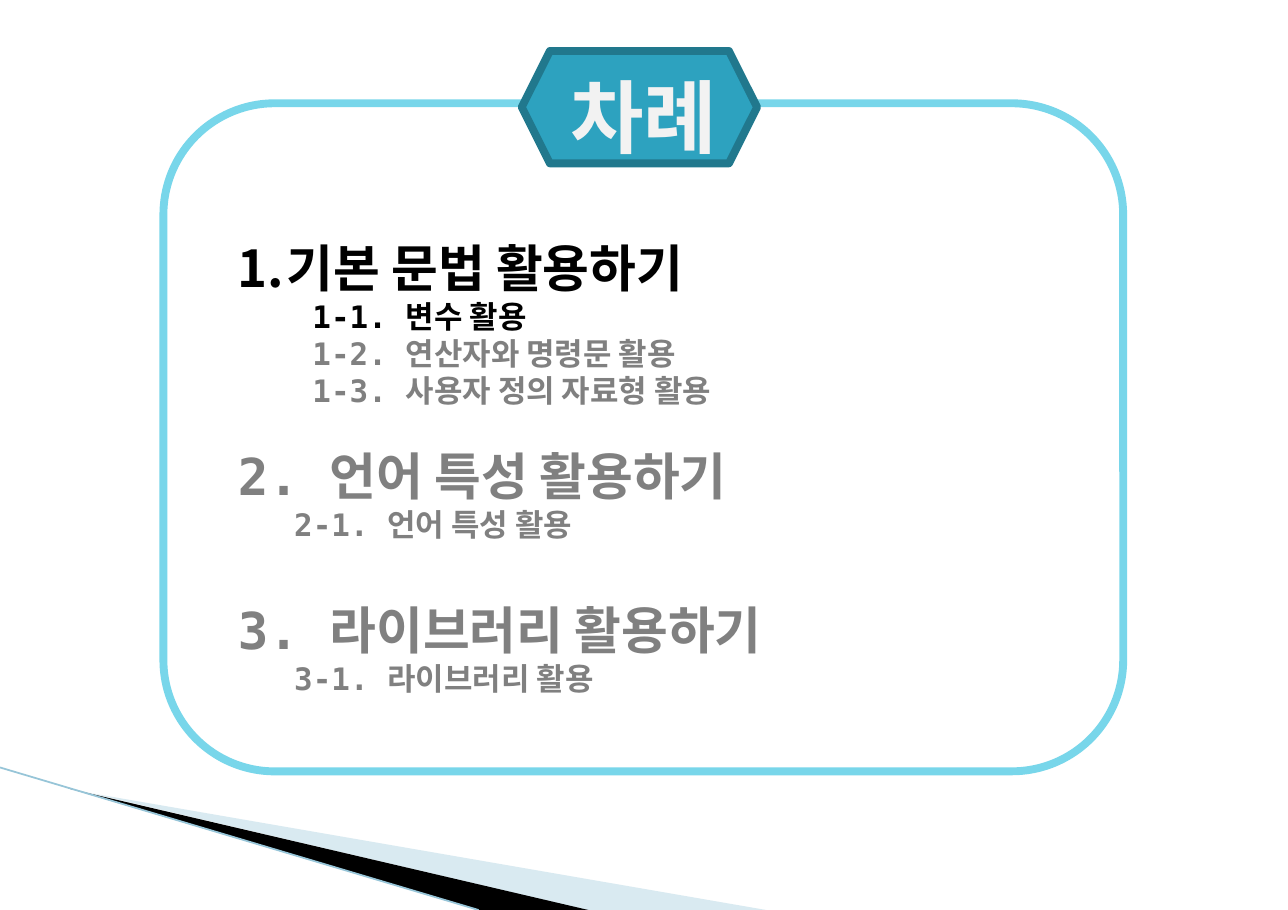
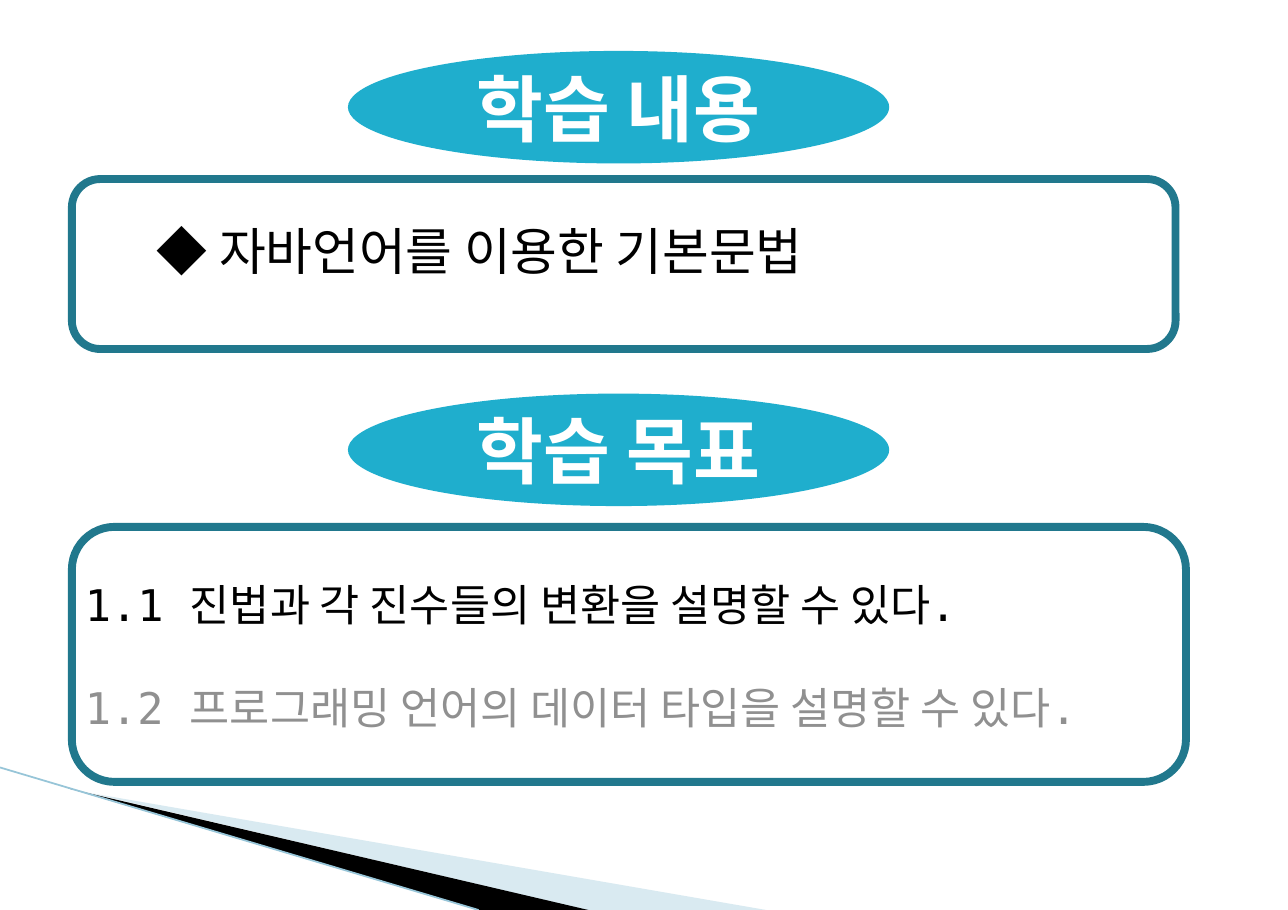
from dataclasses import dataclass
from typing import NamedTuple

from lxml import etree
from pptx import Presentation
from pptx.dml.color import RGBColor
from pptx.enum.shapes import MSO_CONNECTOR, MSO_SHAPE
from pptx.enum.text import MSO_ANCHOR, MSO_AUTO_SIZE, PP_ALIGN
from pptx.oxml.ns import qn
from pptx.util import Emu, Inches, Pt

ROUNDED, HEXAGON, OVAL = MSO_SHAPE.ROUNDED_RECTANGLE, MSO_SHAPE.HEXAGON, MSO_SHAPE.OVAL
STRAIGHT = MSO_CONNECTOR.STRAIGHT
TOP, MIDDLE = MSO_ANCHOR.TOP, MSO_ANCHOR.MIDDLE
LEFT, CENTER = PP_ALIGN.LEFT, PP_ALIGN.CENTER
FIXED, GROW = MSO_AUTO_SIZE.NONE, MSO_AUTO_SIZE.SHAPE_TO_FIT_TEXT

WIDTH, HEIGHT = Inches(9.85), Inches(6.96)
FONT = "DejaVu Sans Mono"
COMPARISON_LAYOUT = 4
FRAME_LINE = 4.33
HEADING, TOPIC = 28, 17
COLORS = {
    "black": "000000",
    "white": "FFFFFF",
    "off_white": "F2F2F2",
    "gray": "808080",
    "light_gray": "909090",
    "sky": "78D6EA",
    "teal": "2DA2BF",
    "dark_teal": "21788D",
    "oval": "1FAECD",
    "wash": "A0CBDC",
    "edge": "97C5D8",
}


class Area(NamedTuple):
    """A rectangle in percent of the slide's width and height."""
    left: float
    top: float
    width: float
    height: float


@dataclass
class Line:
    """One paragraph; indent in inches, size and gap above in points."""
    text: str
    size: float
    color: str = "black"
    bold: bool = True
    indent: float = 0
    gap: float = 0
    numbered: bool = False
    align: PP_ALIGN = LEFT


@dataclass
class Block:
    """A list and the area it fills."""
    area: Area
    lines: list[Line]


@dataclass
class Panel:
    """A preset shape with an optional fill and outline."""
    kind: MSO_SHAPE
    area: Area
    fill: str | None = None
    line: str | None = None


def across(share: float) -> Emu:
    """Turn a percentage of the width into a length."""
    return Emu(round(WIDTH * share / 100))


def down(share: float) -> Emu:
    """Turn a percentage of the height into a length."""
    return Emu(round(HEIGHT * share / 100))


def measure(area: Area) -> tuple[Emu, Emu, Emu, Emu]:
    """Turn an area into left, top, width and height."""
    return across(area.left), down(area.top), across(area.width), down(area.height)


def rgb(name: str) -> RGBColor:
    """Look up a colour by name."""
    return RGBColor.from_string(COLORS[name])


def apply(target, values: dict) -> None:
    """Set each named attribute of the target."""
    for name, value in values.items():
        setattr(target, name, value)


def write(box, lines: list[Line], anchor=TOP, fit=FIXED) -> None:
    """Write formatted paragraphs into a shape."""
    frame = box.text_frame
    apply(frame, {"word_wrap": True, "auto_size": fit, "vertical_anchor": anchor})
    for index, line in enumerate(lines):
        para = frame.add_paragraph() if index else frame.paragraphs[0]
        apply(para, {"alignment": line.align, "space_before": Pt(line.gap),
                     "space_after": Pt(0), "line_spacing": 1.0})
        margin = Inches(line.indent)
        properties = para._p.get_or_add_pPr()
        properties.set("marL", str(margin))
        properties.set("indent", str(-margin if line.numbered else 0))
        if line.numbered:
            etree.SubElement(properties, qn("a:buAutoNum"), type="arabicPeriod")
        else:
            etree.SubElement(properties, qn("a:buNone"))
        span = para.add_run()
        span.text = line.text
        apply(span.font, {"name": FONT, "size": Pt(line.size), "bold": line.bold})
        span.font.color.rgb = rgb(line.color)


def paint(shape, fill: str | None, line: str | None) -> None:
    """Give a shape its fill and outline, without a shadow."""
    shape.shadow.inherit = False
    if fill:
        shape.fill.solid()
        shape.fill.fore_color.rgb = rgb(fill)
    else:
        shape.fill.background()
    if line:
        shape.line.color.rgb = rgb(line)
        shape.line.width = Pt(FRAME_LINE)
    else:
        shape.line.fill.background()


def draw_panel(page, panel: Panel):
    """Add a preset shape."""
    shape = page.shapes.add_shape(panel.kind, *measure(panel.area))
    paint(shape, panel.fill, panel.line)
    return shape


def draw_wedge(page, points: list[tuple[float, float]], fill: str):
    """Add a filled polygon through points given in percent."""
    corners = [(across(x), down(y)) for x, y in points]
    builder = page.shapes.build_freeform(*corners[0], scale=1.0)
    builder.add_line_segments(corners[1:], close=True)
    wedge = builder.convert_to_shape()
    paint(wedge, fill, None)
    return wedge


def decorate_master(deck, page) -> None:
    """Build the corner sweep and hand it to the slide master."""
    wash = draw_wedge(page, [(5.48, 86.78), (59.49, 100), (45.58, 100), (5.48, 86.64)], "wash")
    color = wash.element.spPr.find(qn("a:solidFill"))[0]
    etree.SubElement(color, qn("a:alpha"), val="40000")
    sweep = draw_wedge(page, [(5.28, 86.64), (45.69, 100), (37.16, 100), (5.38, 86.64)], "black")
    edge = page.shapes.add_connector(STRAIGHT, 0, down(84.34), across(37.16), HEIGHT)
    edge.line.color.rgb = rgb("edge")
    edge.line.width = Pt(0.95)
    etree.SubElement(edge.element.spPr, qn("a:effectLst"))
    for number, part in enumerate((wash, sweep, edge), start=101):
        part.element.xpath(".//p:cNvPr")[0].set("id", str(number))
        deck.slide_master.shapes.element.append(part.element)


def fill_page(page, title: Line, title_area: Area, anchor, blocks: list[Block]) -> None:
    """Place the title and lists above the panels and drop spare placeholders."""
    heading, *bodies = list(page.placeholders)
    for box in (heading, *bodies):
        page.shapes.element.append(box.element)
    apply(heading, dict(zip(("left", "top", "width", "height"), measure(title_area))))
    write(heading, [title], anchor)
    for body, block in zip(bodies, blocks):
        apply(body, dict(zip(("left", "top", "width", "height"), measure(block.area))))
        write(body, block.lines, fit=GROW)
    for spare in bodies[len(blocks):]:
        page.shapes.element.remove(spare.element)


def build_contents(page) -> None:
    """Build the table of contents."""
    draw_panel(page, Panel(ROUNDED, Area(12.69, 11.35, 74.52, 73.42), line="sky"))
    draw_panel(page, Panel(HEXAGON, Area(40.51, 5.6, 18.27, 12.36), "teal", "dark_teal"))
    blocks = [
        Block(Area(17.46, 25.29, 76.14, 20.55), [
            Line("기본 문법 활용하기", HEADING, indent=0.37, numbered=True),
            Line("1-1. 변수 활용", TOPIC, indent=0.57),
            Line("1-2. 연산자와 명령문 활용", TOPIC, "gray", indent=0.57),
            Line("1-3. 사용자 정의 자료형 활용", TOPIC, "gray", indent=0.57),
        ]),
    ]
    chapters = [
        (48.13, "2. 언어 특성 활용하기", "2-1. 언어 특성 활용"),
        (65.09, "3. 라이브러리 활용하기", "3-1. 라이브러리 활용"),
    ]
    for top, chapter, topic in chapters:
        blocks.append(Block(Area(17.46, top, 76.14, 12.64), [
            Line(chapter, HEADING, "gray"),
            Line(topic, TOPIC, "gray", indent=0.43),
        ]))
    title = Line("차례", 44, "off_white", align=CENTER)
    fill_page(page, title, Area(39.7, 6.75, 20.61, 13.51), TOP, blocks)


def build_goals(page) -> None:
    """Build the page of learning contents and goals."""
    content_oval = Area(27.01, 5.6, 42.03, 12.36)
    goal_oval = content_oval._replace(top=43.25)
    for frame in (Area(5.58, 19.68, 85.69, 18.68), Area(5.58, 57.9, 86.5, 28.02)):
        draw_panel(page, Panel(ROUNDED, frame, line="dark_teal"))
    draw_panel(page, Panel(OVAL, content_oval, "oval"))
    goal_badge = draw_panel(page, Panel(OVAL, goal_oval, "oval"))
    write(goal_badge, [Line("학습 목표", 40, "white", align=CENTER)], MIDDLE)
    blocks = [
        Block(Area(11.17, 23.42, 69.85, 8.19), [
            Line("◆ 자바언어를 이용한 기본문법", HEADING, bold=False),
        ]),
        Block(Area(5.58, 62.79, 85.69, 18.82), [
            Line("1.1 진법과 각 진수들의 변환을 설명할 수 있다.", 24, bold=False),
            Line("1.2 프로그래밍 언어의 데이터 타입을 설명할 수 있다.", 24, "light_gray",
                 bold=False, gap=28),
        ]),
    ]
    title = Line("학습 내용", 40, "white", align=CENTER)
    fill_page(page, title, content_oval, MIDDLE, blocks)


def main() -> None:
    """Build and save the deck."""
    deck = Presentation()
    apply(deck, {"slide_width": WIDTH, "slide_height": HEIGHT})
    layout = deck.slide_layouts[COMPARISON_LAYOUT]
    contents, goals = (deck.slides.add_slide(layout) for _ in range(2))
    decorate_master(deck, contents)
    build_contents(contents)
    build_goals(goals)
    deck.save("out.pptx")


main()
